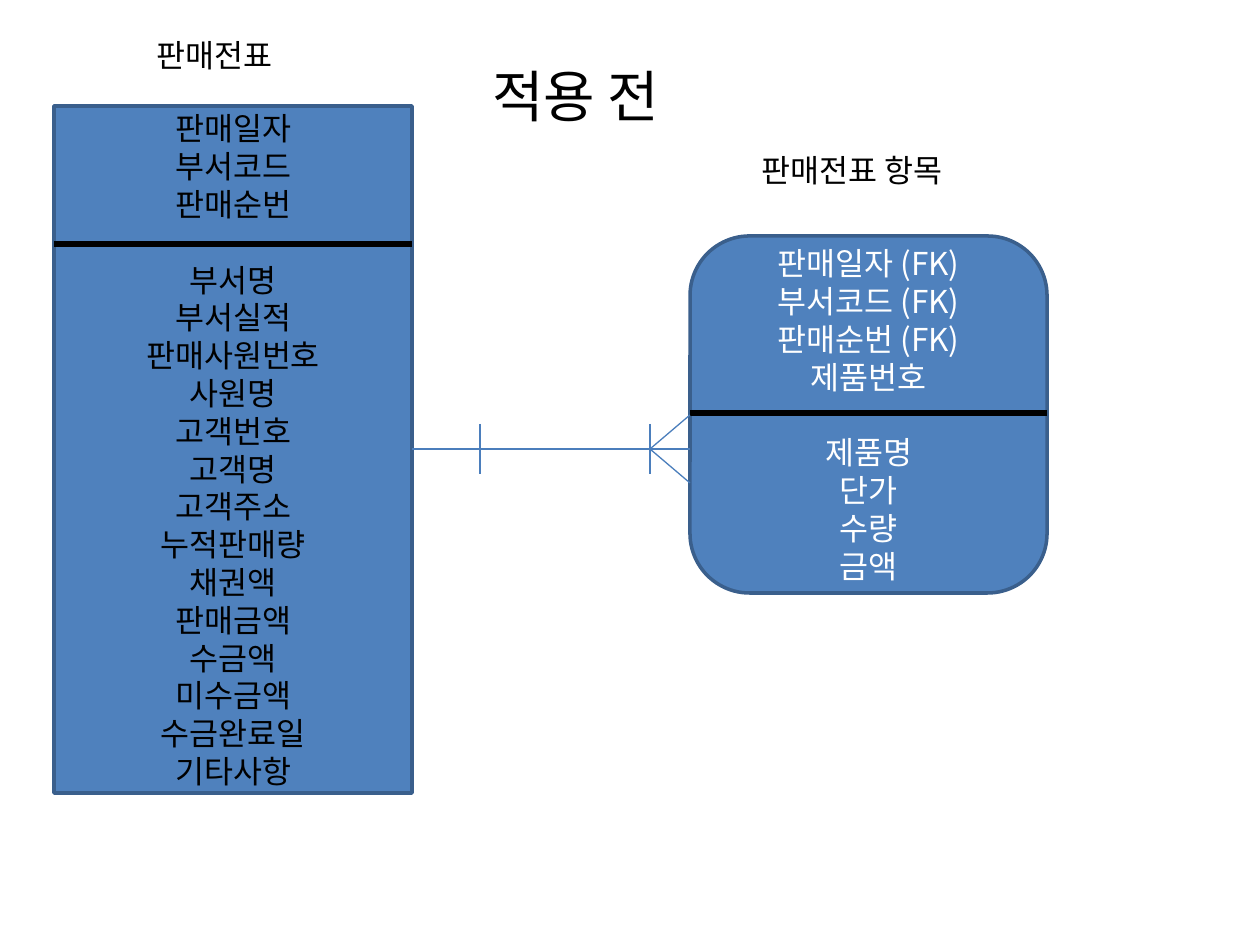
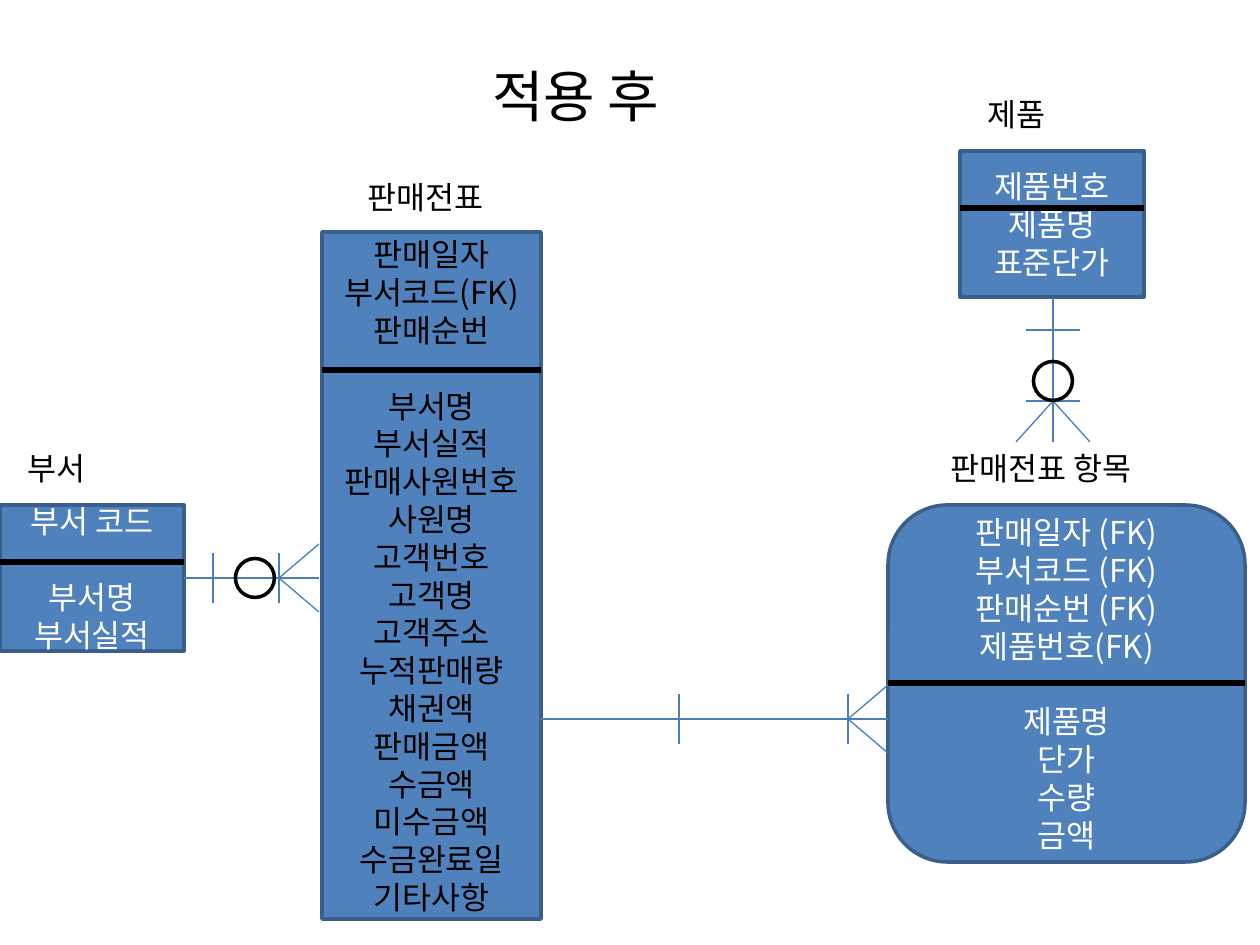
from lxml import etree
from pptx import Presentation
from pptx.dml.color import RGBColor
from pptx.enum.shapes import MSO_CONNECTOR, MSO_SHAPE
from pptx.enum.text import MSO_ANCHOR, MSO_AUTO_SIZE, PP_ALIGN
from pptx.oxml.ns import qn
from pptx.util import Emu, Pt

# Shared look
FONT = "Noto Sans CJK KR"
BLACK, WHITE = "000000", "FFFFFF"
FILL, OUTLINE, RELATION = "4F81BD", "3A5F8C", "4B7EBC"
BODY_SIZE, TITLE_SIZE = 18, 32
LINE_HEIGHT = 21.6  # points, one line of body text
TITLE_BOX = (480, 55, 215, 81)
LABEL_HEIGHT = 50
RECT, ROUND = MSO_SHAPE.RECTANGLE, MSO_SHAPE.ROUNDED_RECTANGLE

# Content
SLIP_DETAILS = ["부서명", "부서실적", "판매사원번호", "사원명", "고객번호", "고객명",
                "고객주소", "누적판매량", "채권액", "판매금액", "수금액", "미수금액",
                "수금완료일", "기타사항"]
ITEM_KEYS = ["판매일자 (FK)", "부서코드 (FK)", "판매순번 (FK)"]
ITEM_DETAILS = ["제품명", "단가", "수량", "금액"]

# Entity: label with (left, top, width), box, divider height, keys, details
SLIDES = [
    dict(title="적용 전",
         entities=[
             dict(label="판매전표", label_at=(144, 30, 152), box=(54, 106, 358, 687),
                  divider=244, color=BLACK, details=SLIP_DETAILS,
                  keys=["판매일자", "부서코드", "판매순번"]),
             dict(label="판매전표 항목", label_at=(749, 145, 228), box=(690, 236, 357, 357),
                  divider=413, kind=ROUND, details=ITEM_DETAILS,
                  keys=ITEM_KEYS + ["제품번호"]),
         ],
         relations=[dict(start=412, end=690, axis=449, one=480, many=650)]),
    dict(title="적용 후",
         entities=[
             dict(label="판매전표", label_at=(355, 172, 152), box=(322, 232, 219, 687),
                  divider=370, color=BLACK, details=SLIP_DETAILS,
                  keys=["판매일자", "부서코드(FK)", "판매순번"]),
             dict(label="판매전표 항목", label_at=(938, 443, 228), box=(888, 505, 357, 357),
                  divider=683, kind=ROUND, details=ITEM_DETAILS,
                  keys=ITEM_KEYS + ["제품번호(FK)"]),
             dict(label="부서", label_at=(15, 443, 90), box=(0, 505, 184, 146),
                  divider=562, keys=["부서 코드"], details=["부서명", "부서실적"]),
             dict(label="제품", label_at=(975, 89, 90), box=(960, 151, 184, 146),
                  divider=208, keys=["제품번호"], details=["제품명", "표준단가"], gap=0),
         ],
         relations=[
             dict(start=541, end=888, axis=719, one=679, many=848),
             dict(start=184, end=319, axis=578, one=213, many=279, optional=255),
             dict(start=298, end=442, axis=1053, one=330, many=401, optional=381,
                  vertical=True, spread=37, half_bar=27),
         ]),
]


def px(value):
    return Emu(round(value * 914400 / 126))


def rgb(value):
    return RGBColor.from_string(value)


def write(frame, lines, size=BODY_SIZE, color=BLACK, align=PP_ALIGN.LEFT, gap_at=None):
    """Write one paragraph per line, with an empty line's space before line gap_at."""
    for index, line in enumerate(lines):
        paragraph = frame.paragraphs[0] if index == 0 else frame.add_paragraph()
        paragraph.alignment = align
        if index == gap_at:
            paragraph.space_before = Pt(LINE_HEIGHT)
        run = paragraph.add_run()
        run.text = line
        run.font.size = Pt(size)
        run.font.color.rgb = rgb(color)
        run.font.name = FONT
        east_asian = etree.SubElement(run.font._element, qn("a:ea"))
        east_asian.set("typeface", FONT)


def add_text(slide, text, box, **text_format):
    shape = slide.shapes.add_textbox(*map(px, box))
    shape.text_frame.word_wrap = False
    shape.text_frame.auto_size = MSO_AUTO_SIZE.SHAPE_TO_FIT_TEXT
    write(shape.text_frame, [text], **text_format)


def add_line(slide, start, end, color=RELATION, width=0.75):
    line = slide.shapes.add_connector(MSO_CONNECTOR.STRAIGHT, *map(px, start + end))
    line.line.color.rgb = rgb(color)
    line.line.width = Pt(width)
    etree.SubElement(line._element.spPr, qn("a:effectLst"))


def add_shape(slide, kind, box, outline, fill=None):
    shape = slide.shapes.add_shape(kind, *map(px, box))
    shape.shadow.inherit = False
    if fill:
        shape.fill.solid()
        shape.fill.fore_color.rgb = rgb(fill)
    else:
        shape.fill.background()
    shape.line.color.rgb = rgb(outline)
    shape.line.width = Pt(2)
    return shape


def add_entity(slide, label, label_at, box, divider, keys, details,
               kind=RECT, color=WHITE, gap=1):
    shape = add_shape(slide, kind, box, OUTLINE, FILL)
    frame = shape.text_frame
    frame.word_wrap = True
    frame.vertical_anchor = MSO_ANCHOR.MIDDLE
    write(frame, keys + details, color=color, align=PP_ALIGN.CENTER,
          gap_at=len(keys) if gap else None)
    left, _, width, _ = box
    add_line(slide, (left + width, divider), (left, divider), BLACK, 3.75)
    add_text(slide, label, (*label_at, LABEL_HEIGHT))


def add_relation(slide, start, end, axis, one, many, optional=None,
                 vertical=False, spread=34, half_bar=25):
    """Draw a one-to-many line; optional is the centre of the zero circle."""
    def point(along, offset=0):
        across = axis + offset
        return (across, along) if vertical else (along, across)

    add_line(slide, point(start), point(end))
    for side in (-spread, spread):
        add_line(slide, point(many), point(end, side))
    for bar in (many, one):
        add_line(slide, point(bar, -half_bar), point(bar, half_bar))
    if optional is not None:
        x, y = point(optional)
        diameter = 39
        add_shape(slide, MSO_SHAPE.OVAL,
                  (x - diameter / 2, y - diameter / 2, diameter, diameter), BLACK)


presentation = Presentation()
presentation.slide_width, presentation.slide_height = px(1260), px(945)
for content in SLIDES:
    slide = presentation.slides.add_slide(presentation.slide_layouts[6])
    for entity in content["entities"]:
        add_entity(slide, **entity)
    for relation in content["relations"]:
        add_relation(slide, **relation)
    add_text(slide, content["title"], TITLE_BOX, size=TITLE_SIZE)
presentation.save("out.pptx")
